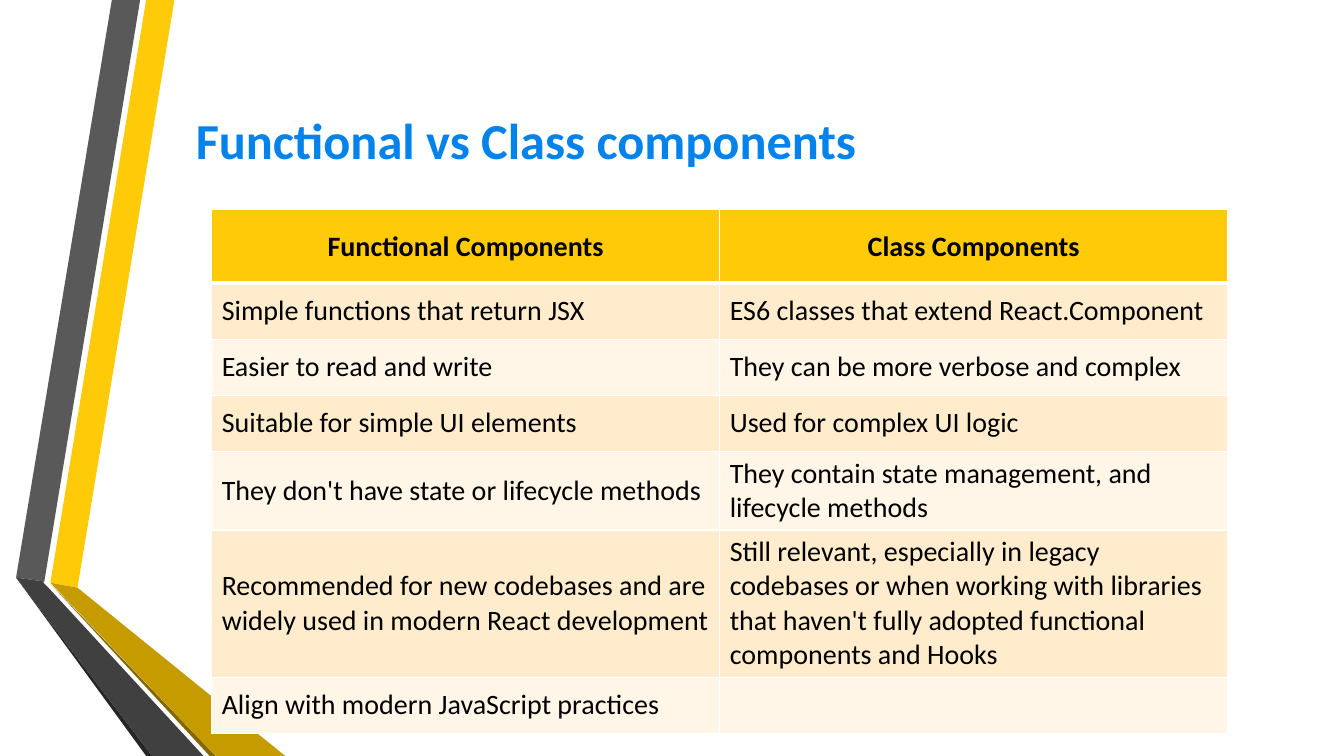
from pptx import Presentation
from pptx.dml.color import RGBColor
from pptx.enum.text import MSO_ANCHOR as Anchor, MSO_AUTO_SIZE as AutoSize, PP_ALIGN as Align
from pptx.oxml import parse_xml
from pptx.oxml.ns import nsdecls
from pptx.util import Pt

YELLOW = RGBColor(0xFF, 0xCA, 0x08)
GREY = RGBColor(0x59, 0x59, 0x59)
BLACK_EDGE = RGBColor(0x26, 0x26, 0x26)
BROWN_EDGE = RGBColor(0x84, 0x67, 0x00)
GOLD = RGBColor(0xC5, 0x9B, 0x00)
CHARCOAL = RGBColor(0x40, 0x40, 0x40)
BLUE = RGBColor(0x02, 0x82, 0xEB)
BLACK = RGBColor(0x00, 0x00, 0x00)
WHITE = RGBColor(0xFF, 0xFF, 0xFF)
PEACH = RGBColor(0xFF, 0xEC, 0xCC)
CREAM = RGBColor(0xFF, 0xF6, 0xE7)

RIBBONS = [
    (YELLOW, [(36, 416.2), (55.4, 419.8), (124.6, 0), (104.4, 0)]),
    (GREY, [(100.1, 0), (79.9, 0), (11.5, 412.6), (31.7, 415.4)]),
    (BLACK_EDGE, [(11.5, 412.6), (104.4, 540), (108.7, 540)]),
    (BROWN_EDGE, [(36, 416.9), (149.8, 540), (154.1, 540)]),
    (GOLD, [(36, 416.2), (154.1, 540), (203.8, 540), (55.4, 419.8)]),
    (CHARCOAL, [(145.4, 540), (34.6, 419.8), (31, 416.2), (31.7, 415.4),
                (11.5, 412.6), (108.7, 540)]),
]
COMPARISON = [
    ("Functional Components", "Class Components"),
    ("Simple functions that return JSX", "ES6 classes that extend React.Component"),
    ("Easier to read and write", "They can be more verbose and complex"),
    ("Suitable for simple UI elements", "Used for complex UI logic"),
    ("They don't have state or lifecycle methods",
     "They contain state management, and lifecycle methods"),
    ("Recommended for new codebases and are widely used in modern React development",
     "Still relevant, especially in legacy codebases or when working with libraries "
     "that haven't fully adopted functional components and Hooks"),
    ("Align with modern JavaScript practices", ""),
]
HEADER_HEIGHT, ROW_HEIGHT, COLUMN_WIDTH = 52.5, 40, 362.9


def set_font(para, size, color, bold):
    para.font.name = "Calibri"
    para.font.size = Pt(size)
    para.font.color.rgb = color
    para.font.bold = bold


def add_borders(cell, widths):
    """Draw white cell borders; widths maps L, R, T and B to points."""
    for side, width in widths.items():
        cell._tc.get_or_add_tcPr().append(parse_xml(
            f'<a:ln{side} {nsdecls("a")} w="{Pt(width)}"><a:solidFill>'
            f'<a:srgbClr val="{WHITE}"/></a:solidFill></a:ln{side}>'))


deck = Presentation()
deck.slide_width, deck.slide_height = Pt(960), Pt(540)
slide = deck.slides.add_slide(deck.slide_layouts[5])

for color, points in RIBBONS:
    start, *rest = [(Pt(x), Pt(y)) for x, y in points]
    builder = slide.shapes.build_freeform(*start)
    builder.add_line_segments(rest, close=True)
    ribbon = builder.convert_to_shape()
    ribbon.shadow.inherit = False
    ribbon.fill.solid()
    ribbon.fill.fore_color.rgb = color
    ribbon.line.fill.background()

title = slide.shapes.title
title.left, title.top, title.width, title.height = Pt(117.4), Pt(71.3), Pt(517), Pt(56.2)
frame = title.text_frame
frame.text = "Functional vs Class components"
frame.word_wrap = True
frame.auto_size = AutoSize.NONE
frame.vertical_anchor = Anchor.MIDDLE
frame.paragraphs[0].alignment = Align.CENTER
set_font(frame.paragraphs[0], 36, BLUE, True)

heights = [HEADER_HEIGHT] + [ROW_HEIGHT] * (len(COMPARISON) - 1)
table = slide.shapes.add_table(len(COMPARISON), 2, Pt(151.2), Pt(149.8),
                               Pt(2 * COLUMN_WIDTH), Pt(sum(heights))).table
for column in table.columns:
    column.width = Pt(COLUMN_WIDTH)
for r, texts in enumerate(COMPARISON):
    table.rows[r].height = Pt(heights[r])
    header = r == 0
    for c, text in enumerate(texts):
        cell = table.cell(r, c)
        add_borders(cell, {"L": 1, "R": 1, "T": 3 if r == 1 else 1, "B": 3 if header else 1})
        cell.fill.solid()
        cell.fill.fore_color.rgb = YELLOW if header else PEACH if r % 2 else CREAM
        cell.vertical_anchor = Anchor.MIDDLE
        cell.text = text
        para = cell.text_frame.paragraphs[0]
        para.alignment = Align.CENTER if header else Align.LEFT
        set_font(para, 20, BLACK, header)

deck.save("out.pptx")
